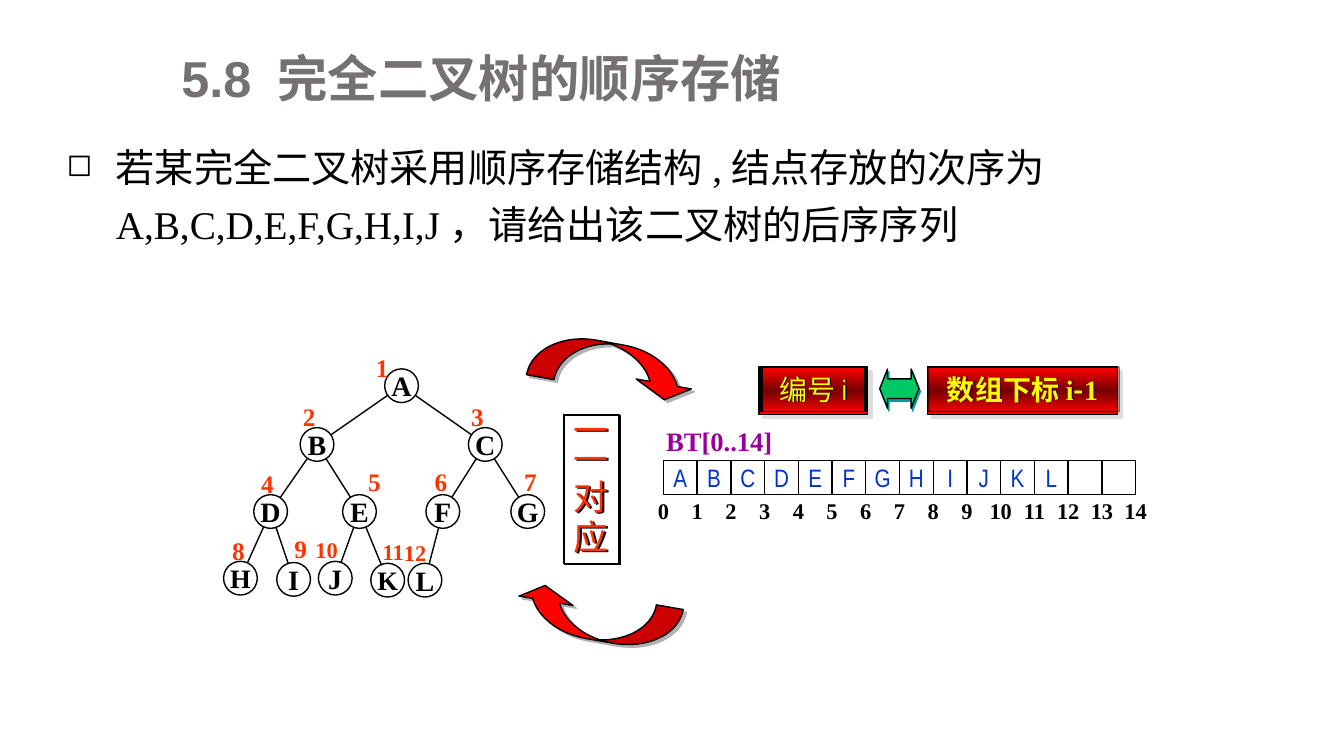
from math import hypot

from lxml.etree import SubElement
from copy import deepcopy
from pptx import Presentation
from pptx.dml.color import RGBColor
from pptx.enum.shapes import MSO_CONNECTOR, MSO_SHAPE
from pptx.enum.text import MSO_ANCHOR, PP_ALIGN
from pptx.oxml.ns import qn
from pptx.util import Cm, Pt

BLACK = RGBColor(0x00, 0x00, 0x00)
GREY = RGBColor(0x76, 0x71, 0x71)
RED = RGBColor(0xFF, 0x00, 0x00)
DARK_RED = RGBColor(0x76, 0x00, 0x00)
ORANGE = RGBColor(0xFF, 0x33, 0x00)
YELLOW = RGBColor(0xFF, 0xFF, 0x00)
GREEN = RGBColor(0x00, 0xC8, 0x64)
TEAL = RGBColor(0x00, 0x9E, 0xA1)
BLUE = RGBColor(0x00, 0x33, 0xCC)
PURPLE = RGBColor(0x99, 0x00, 0x99)
SILVER = RGBColor(0xB2, 0xB2, 0xB2)
LIGHT_GREY = RGBColor(0xDD, 0xDD, 0xDD)

SERIF = "Times New Roman"
NARROW = "Arial Narrow"
CHINESE = "Noto Sans CJK SC"


def write(shape, runs, size, color, bold=False, align=PP_ALIGN.CENTER):
    """Add one paragraph of (text, font) runs and return it."""
    frame = shape.text_frame
    frame.word_wrap = True
    frame.vertical_anchor = MSO_ANCHOR.MIDDLE
    frame.margin_left = frame.margin_right = frame.margin_top = frame.margin_bottom = 0
    paragraph = frame.add_paragraph() if frame.text else frame.paragraphs[0]
    paragraph.alignment = align
    for text, font in runs:
        run = paragraph.add_run()
        run.text = text
        run.font.name = font
        run.font.size = Pt(size)
        run.font.bold = bold
        run.font.color.rgb = color
        SubElement(run.font._element, qn("a:ea"), typeface=CHINESE)
    return paragraph


def style(shape, fill=None, shadow=None):
    """Give a thin black outline, a fill and a (color, points, degrees, opacity) shadow."""
    shape.line.color.rgb = BLACK
    shape.line.width = Pt(1)
    if fill is None:
        shape.fill.background()
    else:
        shape.fill.solid()
        shape.fill.fore_color.rgb = fill
    shape.shadow.inherit = False
    if shadow:
        color, distance, angle, opacity = shadow
        effects = shape._element.spPr.find(qn("a:effectLst"))
        outer = SubElement(effects, qn("a:outerShdw"), dist=str(Pt(distance)),
                           dir=str(angle * 60000), algn="ctr", rotWithShape="0")
        shade = SubElement(outer, qn("a:srgbClr"), val=str(color))
        SubElement(shade, qn("a:alpha"), val=str(opacity * 1000))


presentation = Presentation()
presentation.slide_width = Cm(33.87)
presentation.slide_height = Cm(19.05)
slide = presentation.slides.add_slide(presentation.slide_layouts[6])
shapes = slide.shapes

# Title and question
title = shapes.add_textbox(Cm(4.57), Cm(0.86), Cm(28.07), Cm(2.16))
write(title, [("5.8 完全二叉树的顺序存储", "Arial")], 36, GREY, True, PP_ALIGN.LEFT)

question = shapes.add_textbox(Cm(1.68), Cm(3.38), Cm(30.96), Cm(3.5))
paragraph = write(question, [("若某完全二叉树采用顺序存储结构,结点存放的次序为"
                              "A,B,C,D,E,F,G,H,I,J，请给出该二叉树的后序序列", SERIF)],
                  28, BLACK, align=PP_ALIGN.LEFT)
question.text_frame.vertical_anchor = MSO_ANCHOR.TOP
paragraph.line_spacing = 1.2
properties = paragraph._p.get_or_add_pPr()
properties.set("marL", str(Cm(1.24)))
properties.set("indent", str(-Cm(1.24)))
SubElement(properties, qn("a:buSzPct"), val="80000")
SubElement(properties, qn("a:buChar"), char="◻")

# Array BT with its indices
CELL = 0.85
ARRAY_LEFT, ARRAY_TOP = 16.72, 11.61
array_name = shapes.add_textbox(Cm(16.79), Cm(10.57), Cm(3.2), Cm(1.07))
write(array_name, [("BT[0..14]", SERIF)], 19, PURPLE, True, PP_ALIGN.LEFT)
for index, letter in enumerate("ABCDEFGHIJKL  "):
    cell = shapes.add_shape(MSO_SHAPE.RECTANGLE, Cm(ARRAY_LEFT + index * CELL),
                            Cm(ARRAY_TOP), Cm(CELL), Cm(CELL))
    style(cell)
    if letter.strip():
        write(cell, [(letter, NARROW)], 18, BLUE)
for index in range(15):
    label = shapes.add_textbox(Cm(ARRAY_LEFT + (index - 0.5) * CELL), Cm(12.4),
                               Cm(CELL), Cm(0.94))
    write(label, [(str(index), SERIF)], 16, BLACK, True)

# Curved arrows between tree and array
for left, top, width, height, angle, flipped in [
    (13.34, 8.66, 4.24, 1.17, 10.3, False),
    (12.93, 14.99, 4.22, 1.14, 9.9, True),
]:
    arrow = shapes.add_shape(MSO_SHAPE.CURVED_DOWN_ARROW, Cm(left), Cm(top),
                             Cm(width), Cm(height))
    for position, value in enumerate((0.6, 1.21, 0.33)):
        arrow.adjustments[position] = value
    arrow.rotation = angle
    if flipped:
        arrow._element.spPr.xfrm.set("flipH", "1")
        arrow._element.spPr.xfrm.set("flipV", "1")
    style(arrow, RED, (SILVER, 3, 40, 100))

mapping = shapes.add_shape(MSO_SHAPE.RECTANGLE, Cm(14.2), Cm(10.44), Cm(1.4), Cm(3.76))
style(mapping, shadow=(BLACK, 1.4, 45, 100))
for character, spacing in zip("一一对应", (0.7, 0.7, 0.95, 0.95)):
    write(mapping, [(character, CHINESE)], 25, ORANGE).line_spacing = spacing

# Node number and array index panels
for left, width, label_left, label_width, runs, bold, opacity in [
    (19.13, 2.74, 19.18, 2.62, [("编号", CHINESE), ("i", NARROW)], False, 100),
    (23.37, 4.8, 23.37, 4.8,
     [("数组下标", CHINESE), ("i", SERIF), ("-", CHINESE), ("1", SERIF)], True, 50),
]:
    panel = shapes.add_shape(MSO_SHAPE.RECTANGLE, Cm(left), Cm(9.25), Cm(width), Cm(1.19))
    style(panel, RED, (LIGHT_GREY, 4.2, 45, 100))
    panel.fill.gradient()
    panel.fill.gradient_angle = 90
    stop_list = panel._element.spPr.find(".//" + qn("a:gsLst"))
    stop_list.insert(1, deepcopy(stop_list[0]))
    for stop, position, color in zip(panel.fill.gradient_stops, (0, 0.5, 1),
                                     (RED, DARK_RED, RED)):
        stop.position = position
        stop.color.rgb = color
    label = shapes.add_shape(MSO_SHAPE.RECTANGLE, Cm(label_left), Cm(9.25),
                             Cm(label_width), Cm(1.12))
    style(label, shadow=(BLACK, 1, 0, opacity))
    write(label, runs, 20, YELLOW, bold)

double_arrow = shapes.add_shape(MSO_SHAPE.LEFT_RIGHT_ARROW, Cm(22.17), Cm(9.3),
                                Cm(0.99), Cm(0.99))
double_arrow.adjustments[0] = 0.5
double_arrow.adjustments[1] = 0.2
style(double_arrow, GREEN, (TEAL, 2.2, 63, 100))

# Tree: letter, node centre, number centre; node n hangs below node n // 2
DIAMETER = 0.85
NODES = [
    ("A", 10.12, 9.72, 9.63, 9.27),
    ("B", 7.99, 11.2, 7.79, 10.49),
    ("C", 12.23, 11.2, 12.03, 10.49),
    ("D", 6.82, 12.89, 6.74, 12.19),
    ("E", 9.06, 12.89, 9.44, 12.14),
    ("F", 11.16, 12.89, 11.11, 12.12),
    ("G", 13.3, 12.89, 13.37, 12.14),
    ("H", 6.06, 14.57, 6.01, 13.87),
    ("I", 7.4, 14.6, 7.58, 13.82),
    ("J", 8.45, 14.57, 8.23, 13.86),
    ("K", 9.77, 14.62, 9.91, 13.91),
    ("L", 10.71, 14.62, 10.46, 13.93),
]
for number, (letter, x, y, number_x, number_y) in enumerate(NODES, 1):
    node = shapes.add_shape(MSO_SHAPE.OVAL, Cm(x - DIAMETER / 2), Cm(y - DIAMETER / 2),
                            Cm(DIAMETER), Cm(DIAMETER))
    style(node)
    write(node, [(letter, SERIF)], 19 if letter in "HK" else 20, BLACK, True)
    label = shapes.add_textbox(Cm(number_x - 0.5), Cm(number_y - 0.5), Cm(1), Cm(1))
    write(label, [(str(number), SERIF)], 18 if number < 10 else 16, ORANGE, True)
    if number > 1:
        parent_x, parent_y = NODES[number // 2 - 1][1:3]
        distance = hypot(x - parent_x, y - parent_y)
        step_x = (x - parent_x) / distance * DIAMETER / 2
        step_y = (y - parent_y) / distance * DIAMETER / 2
        edge = shapes.add_connector(MSO_CONNECTOR.STRAIGHT,
                                    Cm(parent_x + step_x), Cm(parent_y + step_y),
                                    Cm(x - step_x), Cm(y - step_y))
        edge.line.color.rgb = BLACK
        edge.line.width = Pt(1)
        SubElement(edge._element.spPr, qn("a:effectLst"))

presentation.save("out.pptx")
